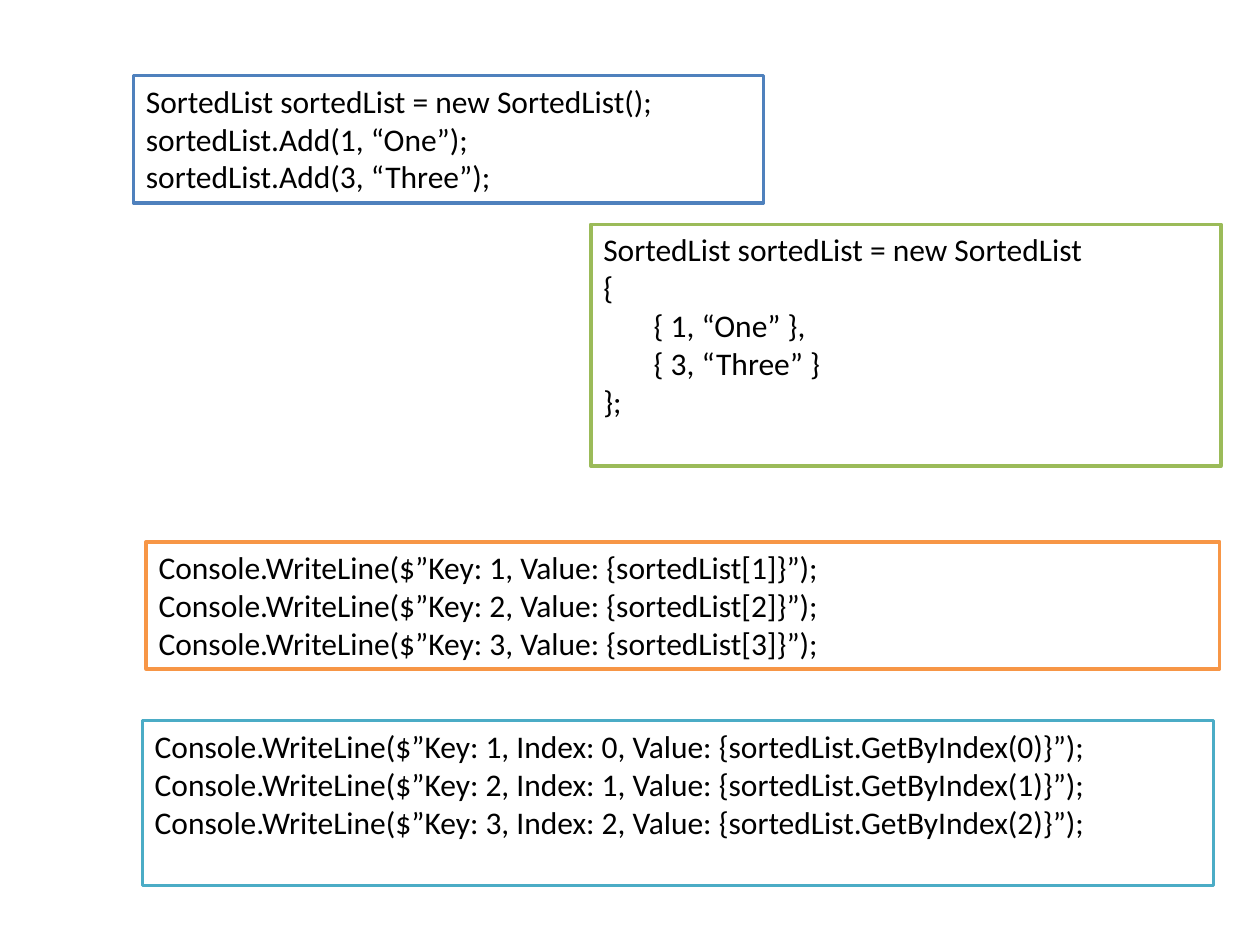
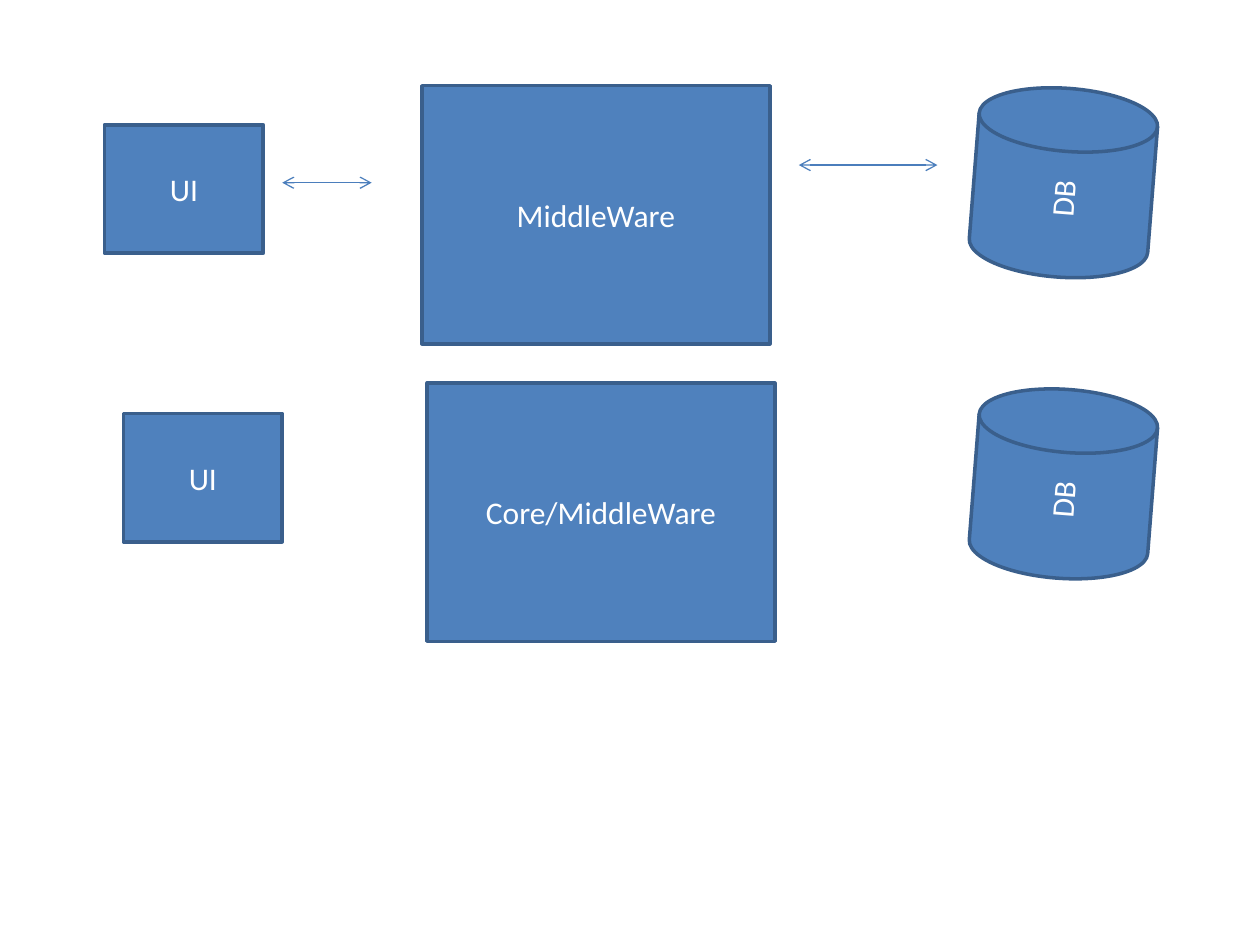
"""Build two slides: SortedList code samples and a three-tier architecture."""
from pptx import Presentation
from pptx.dml.color import RGBColor
from pptx.enum.shapes import MSO_CONNECTOR as Connector, MSO_SHAPE as Preset
from pptx.enum.text import MSO_ANCHOR as Anchor, PP_ALIGN as Align
from pptx.oxml.ns import qn
from pptx.util import Inches, Pt
from lxml.etree import SubElement

COLORS = {
    "text": "000000", "paper": "FFFFFF", "blue": "4F81BD", "green": "9BBB59",
    "orange": "F79646", "teal": "4BACC6", "edge": "3A5F8C", "arrow": "4B7EBC",
}
FONT = {"name": "Calibri", "size": Pt(18)}
CODE_FRAME = {"word_wrap": True, "vertical_anchor": Anchor.TOP}
TIER_FRAME = {"word_wrap": True, "vertical_anchor": Anchor.MIDDLE}
INDENT = 0.4

KEYS = (1, 2, 3)
SAMPLES = [
    ("blue", (1.06, 0.6, 5, 1.01), [
        (0, "SortedList sortedList = new SortedList();"),
        (0, "sortedList.Add(1, “One”);"),
        (0, "sortedList.Add(3, “Three”);"),
    ]),
    ("green", (4.69, 1.78, 5, 1.92), [
        (0, "SortedList sortedList = new SortedList"),
        (0, "{"),
        (1, "{ 1, “One” },"),
        (1, "{ 3, “Three” }"),
        (0, "};"),
    ]),
    ("orange", (1.16, 4.3, 8.52, 1.01), [
        (0, f"Console.WriteLine($”Key: {key}, Value: {{sortedList[{key}]}}”);")
        for key in KEYS
    ]),
    ("teal", (1.13, 5.72, 8.5, 1.31), [
        (0, f"Console.WriteLine($”Key: {key}, Index: {index}, "
            f"Value: {{sortedList.GetByIndex({index})}}”);")
        for index, key in enumerate(KEYS)
    ]),
]

TIER_KINDS = {
    "ui": (Preset.RECTANGLE, (1.26, 1.02), 0),
    "middle": (Preset.RECTANGLE, (2.76, 2.05), 0),
    "db": (Preset.FLOWCHART_DIRECT_ACCESS_STORAGE, (1.5, 1.42), 274.5),
}
TIERS = [
    ("ui", "UI", (0.83, 0.99)),
    ("middle", "MiddleWare", (3.35, 0.68)),
    ("db", "DB", (7.69, 0.74)),
    ("middle", "Core/MiddleWare", (3.39, 3.04)),
    ("ui", "UI", (0.98, 3.28)),
    ("db", "DB", (7.69, 3.13)),
]
LINKS = [(2.24, 2.95, 1.45), (6.34, 7.44, 1.31)]


def rgb(color):
    return RGBColor.from_string(COLORS[color])


def inches(lengths):
    return [Inches(length) for length in lengths]


def apply(target, values):
    for attribute, value in values.items():
        setattr(target, attribute, value)


def paint(box, fill, edge):
    box.fill.solid()
    box.fill.fore_color.rgb = rgb(fill)
    box.line.color.rgb = rgb(edge)
    box.line.width = Pt(2)


def write(paragraph, text, color, align):
    paragraph.alignment = align
    run = paragraph.add_run()
    run.text = text
    apply(run.font, FONT)
    run.font.color.rgb = rgb(color)


def add_sample(slide, edge, place, lines):
    box = slide.shapes.add_textbox(*inches(place))
    paint(box, "paper", edge)
    frame = box.text_frame
    apply(frame, CODE_FRAME)
    for number, (depth, code) in enumerate(lines):
        paragraph = frame.add_paragraph() if number else frame.paragraphs[0]
        write(paragraph, code, "text", Align.LEFT)
        if depth:
            margin = Inches(depth * INDENT)
            paragraph._p.get_or_add_pPr().set("marL", str(margin))


def add_tier(slide, kind, label, corner):
    preset, size, rotation = TIER_KINDS[kind]
    tier = slide.shapes.add_shape(preset, *inches(corner + size))
    tier.rotation = rotation
    tier.shadow.inherit = False
    paint(tier, "blue", "edge")
    apply(tier.text_frame, TIER_FRAME)
    write(tier.text_frame.paragraphs[0], label, "paper", Align.CENTER)


def add_link(slide, start, end, height):
    link = slide.shapes.add_connector(
        Connector.STRAIGHT, *inches((start, height, end, height)))
    link.line.color.rgb = rgb("arrow")
    link.line.width = Pt(0.75)
    outline = link.line._get_or_add_ln()
    for tip in ("a:headEnd", "a:tailEnd"):
        SubElement(outline, qn(tip), type="arrow")
    SubElement(link._element.spPr, qn("a:effectLst"))


def main():
    deck = Presentation()
    apply(deck, {"slide_width": Inches(10), "slide_height": Inches(7.5)})
    blank = deck.slide_layouts[6]
    code_slide, tier_slide = (deck.slides.add_slide(blank) for _ in range(2))
    for sample in SAMPLES:
        add_sample(code_slide, *sample)
    for tier in TIERS:
        add_tier(tier_slide, *tier)
    for link in LINKS:
        add_link(tier_slide, *link)
    deck.save("out.pptx")


if __name__ == "__main__":
    main()
